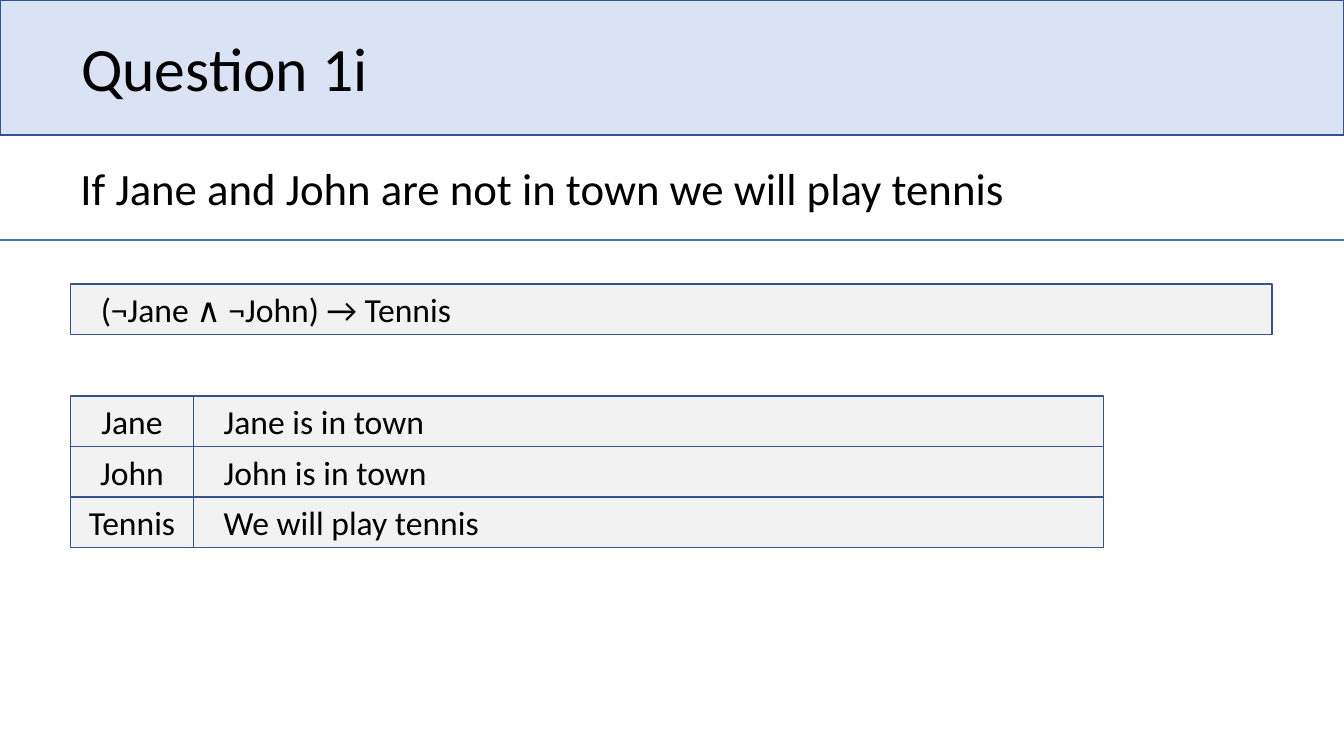
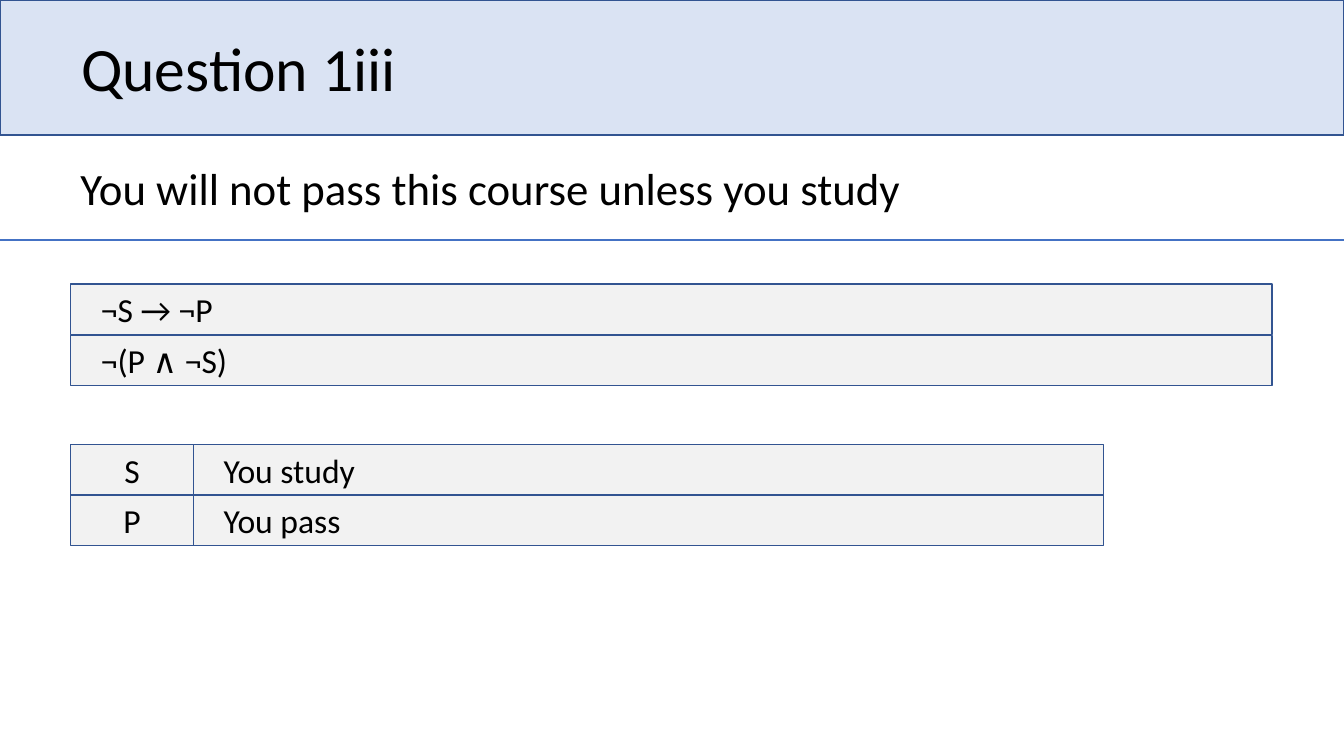
import pptx
import pptx.dml.color
import pptx.enum.shapes
import pptx.enum.text
import pptx.oxml.ns
import pptx.util
from lxml import etree

Pt = pptx.util.Pt
RGBColor = pptx.dml.color.RGBColor
ALIGN = pptx.enum.text.PP_ALIGN
ANCHOR = pptx.enum.text.MSO_ANCHOR
RECTANGLE = pptx.enum.shapes.MSO_SHAPE.RECTANGLE

BLACK = RGBColor(0x00, 0x00, 0x00)
PALE_BLUE = RGBColor(0xDA, 0xE3, 0xF3)
PALE_GREY = RGBColor(0xF2, 0xF2, 0xF2)
OUTLINE = RGBColor(0x32, 0x54, 0x91)
RULE_BLUE = RGBColor(0x44, 0x72, 0xC4)

FONT = "Calibri"
SLIDE_WIDTH = 960
LEFT = 50.4
FULL_WIDTH = 858.2
SYMBOL_WIDTH = 87.8
MEANING_WIDTH = 650.2
ROW_HEIGHT = 36
FORMULA_TOP = 203
FORMULA_PITCH = 36.5
RULE_TOP = 171.4

QUESTIONS = [
    {
        "title": "Question 1i",
        "sentence": "If Jane and John are not in town we will play tennis",
        "formulas": ["(¬Jane ∧ ¬John) → Tennis"],
        "key_top": 283,
        "key": [
            ("Jane", "Jane is in town"),
            ("John", "John is in town"),
            ("Tennis", "We will play tennis"),
        ],
    },
    {
        "title": "Question 1iii",
        "sentence": "You will not pass this course unless you study",
        "formulas": ["¬S → ¬P", "¬(P ∧ ¬S)"],
        "key_top": 317.5,
        "key": [("S", "You study"), ("P", "You pass")],
    },
]


def add_text(slide, text, left, top, width, height, size=24, fill=None,
             inset=7.2, align=ALIGN.LEFT, anchor=ANCHOR.MIDDLE, spacing=1.0):
    area = [Pt(length) for length in (left, top, width, height)]
    if fill is None:
        box = slide.shapes.add_textbox(*area)
    else:
        box = slide.shapes.add_shape(RECTANGLE, *area)
        box.shadow.inherit = False
        box.fill.solid()
        box.fill.fore_color.rgb = fill
        box.line.color.rgb = OUTLINE
        box.line.width = Pt(1)
    if text:
        frame = box.text_frame
        frame.word_wrap = True
        frame.vertical_anchor = anchor
        frame.margin_left = Pt(inset)
        frame.text = text
        paragraph = frame.paragraphs[0]
        paragraph.alignment = align
        paragraph.line_spacing = spacing
        paragraph.font.name = FONT
        paragraph.font.size = Pt(size)
        paragraph.font.color.rgb = BLACK


deck = pptx.Presentation()
deck.slide_width = Pt(SLIDE_WIDTH)
deck.slide_height = Pt(540)

for question in QUESTIONS:
    slide = deck.slides.add_slide(deck.slide_layouts[6])

    add_text(slide, "", 0, 0, SLIDE_WIDTH, 96.5, fill=PALE_BLUE)
    add_text(slide, question["title"], 51, -0.8, 828, 104.4,
             size=44, spacing=0.9)
    add_text(slide, question["sentence"], LEFT, 111, FULL_WIDTH, 46,
             size=32, anchor=ANCHOR.TOP)

    rule = slide.shapes.add_connector(
        pptx.enum.shapes.MSO_CONNECTOR.STRAIGHT,
        Pt(0), Pt(RULE_TOP), Pt(SLIDE_WIDTH), Pt(RULE_TOP))
    rule.line.color.rgb = RULE_BLUE
    rule.line.width = Pt(2)
    etree.SubElement(rule.element.spPr, pptx.oxml.ns.qn("a:effectLst"))

    for row, formula in enumerate(question["formulas"]):
        add_text(slide, formula, LEFT, FORMULA_TOP + row * FORMULA_PITCH,
                 FULL_WIDTH, ROW_HEIGHT, fill=PALE_GREY, inset=21.6)

    for row, (symbol, meaning) in enumerate(question["key"]):
        top = question["key_top"] + row * ROW_HEIGHT
        add_text(slide, meaning, LEFT + SYMBOL_WIDTH, top, MEANING_WIDTH,
                 ROW_HEIGHT, fill=PALE_GREY, inset=21.6)
        add_text(slide, symbol, LEFT, top, SYMBOL_WIDTH, ROW_HEIGHT,
                 fill=PALE_GREY, align=ALIGN.CENTER)

deck.save("out.pptx")
